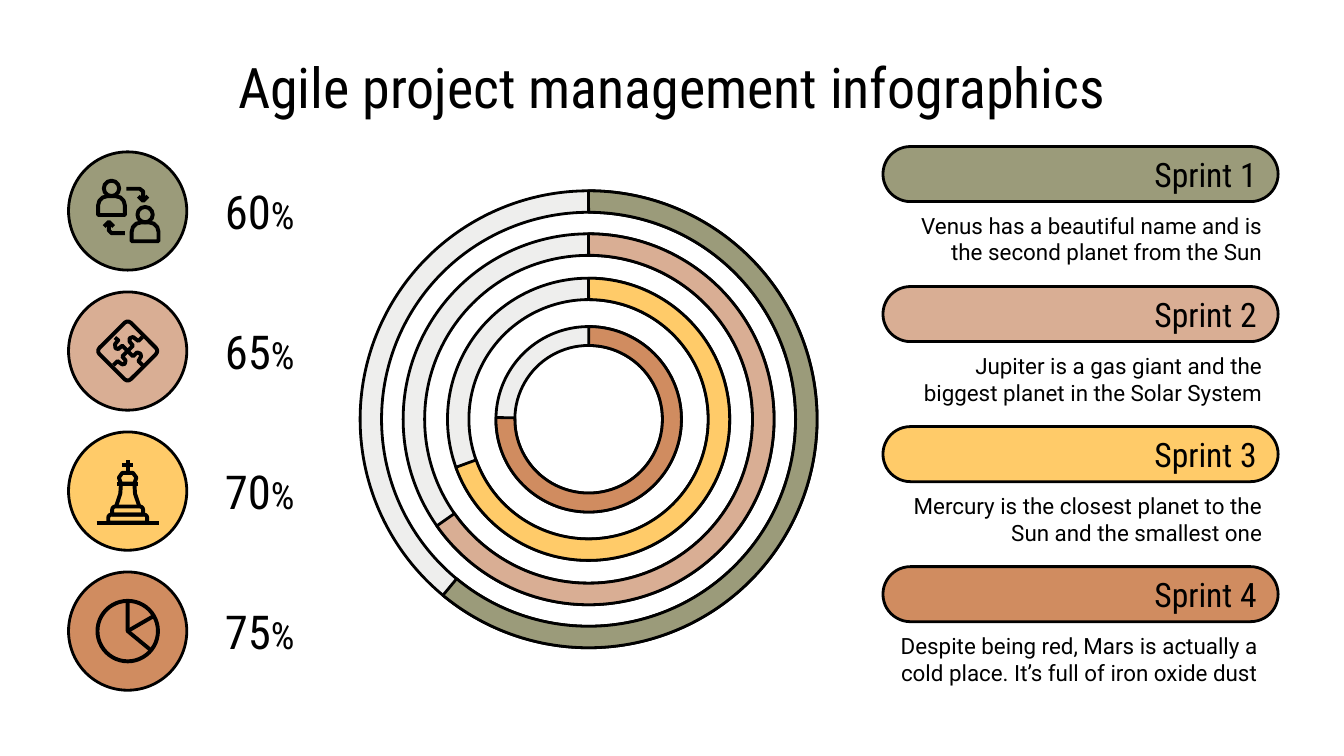
"""Build the agile sprint slide: progress rings, share badges and sprint cards."""
from dataclasses import dataclass

from pptx import Presentation
from pptx.dml.color import RGBColor
from pptx.enum.shapes import MSO_SHAPE
from pptx.enum.text import MSO_ANCHOR, PP_ALIGN
from pptx.util import Emu, Inches, Pt

BLACK = RGBColor(0x00, 0x00, 0x00)
TRACK = RGBColor(0xEE, 0xEE, 0xED)
OLIVE = RGBColor(0x9B, 0x9B, 0x7A)
ROSE = RGBColor(0xD9, 0xAE, 0x94)
YELLOW = RGBColor(0xFF, 0xCB, 0x69)
COPPER = RGBColor(0xD0, 0x8C, 0x60)
BODY, HEAD = "Roboto", "Roboto Condensed"

W, H = Inches(10), Inches(5.625)
UNIT = W / 100
PITCH = 10.42
RING_X, RING_Y = 43.8, 31.2
BADGE_X, BADGE_Y, BADGE = 9.5, 15.7, 8.8
CARD_X, CARD_Y, CARD_W, CARD_H = 65.7, 10.9, 29.4, 4.1


@dataclass(frozen=True)
class Sprint:
    """One sprint with its share, ring and card."""
    color: RGBColor
    share: int
    note: str
    ring: float
    band: float
    end: float
    align: PP_ALIGN = PP_ALIGN.RIGHT


@dataclass(frozen=True)
class Path:
    """A polyline in tenths of a grid unit around the badge centre."""
    points: tuple
    closed: bool = False


@dataclass(frozen=True)
class Outline:
    """An unfilled preset shape in tenths of a grid unit around the badge centre."""
    kind: MSO_SHAPE
    box: tuple
    adj: tuple = ()
    rot: float = 0


SPRINTS = (
    Sprint(OLIVE, 60, "Venus has a beautiful name and is the second planet from the Sun",
           34, 0.047, 129.6),
    Sprint(ROSE, 65, "Jupiter is a gas giant and the biggest planet in the Solar System",
           27.6, 0.058, 144.9),
    Sprint(YELLOW, 70, "Mercury is the closest planet to the Sun and the smallest one",
           21, 0.076, 160.1),
    Sprint(COPPER, 75, "Despite being red, Mars is actually a cold place. "
           "It’s full of iron oxide dust", 13.8, 0.102, 181.1, PP_ALIGN.CENTER),
)


def person(x: float, y: float) -> tuple:
    """Return the head and shoulders of a person centred on x, y."""
    return (Outline(MSO_SHAPE.OVAL, (x - 5.7, y - 13, 11.4, 11.4)),
            Outline(MSO_SHAPE.ROUND_2_SAME_RECTANGLE, (x - 10, y - 1.5, 20, 14), (0.5, 0)))


PEOPLE = (
    *person(-12, -9.5), *person(13, 10),
    Path(((-1, -16.5), (9, -16.5), (11.5, -14.5), (11.5, -8))),
    Path(((8, -11), (11.5, -7.5), (15, -11))),
    Path(((-2, 16.5), (-12, 16.5), (-14, 14.5), (-14, 8.5))),
    Path(((-17.5, 11.5), (-14, 8), (-10.5, 11.5))),
)
PUZZLE = (
    Outline(MSO_SHAPE.ROUNDED_RECTANGLE, (-16.5, -16.5, 33, 33), (0.1,), 45),
    Path(((-9.5, -10), (-7, -8), (-9.5, -5), (-9, -2), (-7, -1.5), (-4, -4), (0, 0),
          (4, 4), (7, 1), (9.5, 2), (10, 4), (8, 7.5), (11, 10.5))),
    Path(((11, -10.5), (8, -7.5), (4, -10.5), (1.5, -9.5), (1.5, -7), (4, -4), (0, 0),
          (-4, 4), (-1.5, 7), (-2, 9.5), (-4, 10), (-7.5, 7.5), (-10.5, 10.5))),
)
KING = (
    Path(((0, -23), (0, -14))),
    Path(((-4, -19.5), (4, -19.5))),
    Path(((-4, -13.5), (4, -13.5), (6.5, -10), (5, -5.5), (-5, -5.5), (-6.5, -10)), True),
    Path(((-8, -5.5), (8, -5.5))),
    Path(((-5, -5.5), (-5.5, 2), (-8.5, 11))),
    Path(((5, -5.5), (5.5, 2), (8.5, 11))),
    Outline(MSO_SHAPE.ROUND_2_SAME_RECTANGLE, (-11.5, 11.5, 23, 6), (0.4, 0)),
    Outline(MSO_SHAPE.ROUND_2_SAME_RECTANGLE, (-14.5, 17.5, 29, 6), (0.4, 0)),
    Path(((-23, 23.5), (23, 23.5))),
)
PIE = (
    Outline(MSO_SHAPE.OVAL, (-22.5, -22.5, 45, 45)),
    Path(((0, -22), (0, 0), (17, 14))),
    Path(((0, 0), (19, -11))),
)
ICONS = (PEOPLE, PUZZLE, KING, PIE)


def u(n: float) -> Emu:
    """Turn grid units into a length."""
    return Emu(round(n * UNIT))


def ink(sp, fill: RGBColor | None, width: float) -> None:
    """Give a shape its fill and black line, without a shadow."""
    sp.shadow.inherit = False
    if fill is None:
        sp.fill.background()
    else:
        sp.fill.solid()
        sp.fill.fore_color.rgb = fill
    sp.line.color.rgb = BLACK
    sp.line.width = Pt(width)


def shape(s, kind, box: tuple, fill: RGBColor | None, adj: tuple = (), width: float = 1.5):
    """Add a preset shape on the grid."""
    sp = s.shapes.add_shape(kind, *map(u, box))
    for i, value in enumerate(adj):
        sp.adjustments[i] = value
    ink(sp, fill, width)
    return sp


def write(sp, *runs: tuple, font: str = HEAD, align=PP_ALIGN.RIGHT,
          anchor=MSO_ANCHOR.MIDDLE) -> None:
    """Write runs of text and size into a shape."""
    tf = sp.text_frame
    tf.word_wrap = True
    tf.vertical_anchor = anchor
    tf.margin_left = tf.margin_right = tf.margin_top = tf.margin_bottom = u(1)
    p = tf.paragraphs[0]
    p.alignment = align
    for text, size in runs:
        r = p.add_run()
        r.text = text
        r.font.name, r.font.size = font, Pt(size)
        r.font.color.rgb = BLACK


def label(s, box: tuple, *runs: tuple, **style) -> None:
    """Add a text box on the grid."""
    write(s.shapes.add_textbox(*map(u, box)), *runs, **style)


def icon(s, parts: tuple, cx: float, cy: float) -> None:
    """Draw the strokes of an icon around a centre."""
    for part in parts:
        if isinstance(part, Outline):
            x, y, w, h = (n / 10 for n in part.box)
            sp = shape(s, part.kind, (cx + x, cy + y, w, h), None, part.adj, 2.1)
            sp.rotation = part.rot
        else:
            start, *rest = [(u(cx + x / 10), u(cy + y / 10)) for x, y in part.points]
            path = s.shapes.build_freeform(*start)
            path.add_line_segments(rest, close=part.closed)
            ink(path.convert_to_shape(), None, 2.1)


def ring(s, sprint: Sprint) -> None:
    """Draw a grey track and the coloured arc on it."""
    d = sprint.ring
    box = (RING_X - d / 2, RING_Y - d / 2, d, d)
    shape(s, MSO_SHAPE.DONUT, box, TRACK, (sprint.band,))
    shape(s, MSO_SHAPE.BLOCK_ARC, box, sprint.color,
          (270 * 0.6, sprint.end * 0.6, sprint.band))


def row(s, i: int, sprint: Sprint) -> None:
    """Draw the badge, share and card of a sprint."""
    cy, top = BADGE_Y + i * PITCH, CARD_Y + i * PITCH
    shape(s, MSO_SHAPE.OVAL, (BADGE_X - BADGE / 2, cy - BADGE / 2, BADGE, BADGE), sprint.color)
    icon(s, ICONS[i], BADGE_X, cy)
    label(s, (14.7, cy - 1.8, 8.2, 3.6), (str(sprint.share), 25), ("%", 20))
    label(s, (CARD_X, top + CARD_H, 29.2, 5.5), (sprint.note, 12),
          font=BODY, align=sprint.align)
    pill = shape(s, MSO_SHAPE.ROUNDED_RECTANGLE, (CARD_X, top, CARD_W, CARD_H),
                 sprint.color, (0.5,))
    write(pill, (f"Sprint {i + 1}", 18))


def main() -> None:
    """Build and save the slide."""
    prs = Presentation()
    prs.slide_width, prs.slide_height = W, H
    s = prs.slides.add_slide(prs.slide_layouts[6])
    label(s, (5, 2.9, 90, 6.3), ("Agile project management infographics", 30),
          align=PP_ALIGN.CENTER, anchor=MSO_ANCHOR.TOP)
    for i, sprint in enumerate(SPRINTS):
        ring(s, sprint)
        row(s, i, sprint)
    prs.save("out.pptx")


if __name__ == "__main__":
    main()
